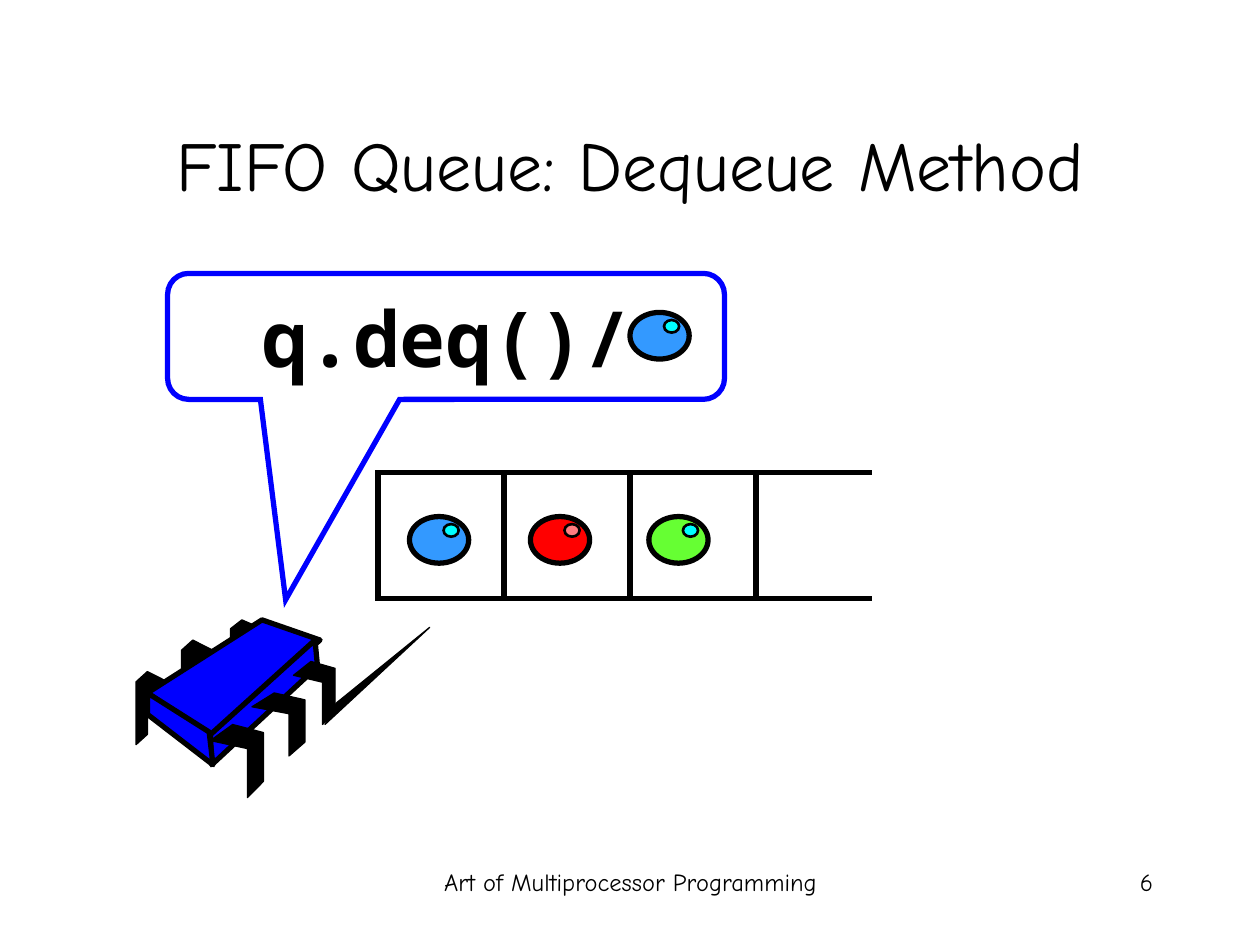
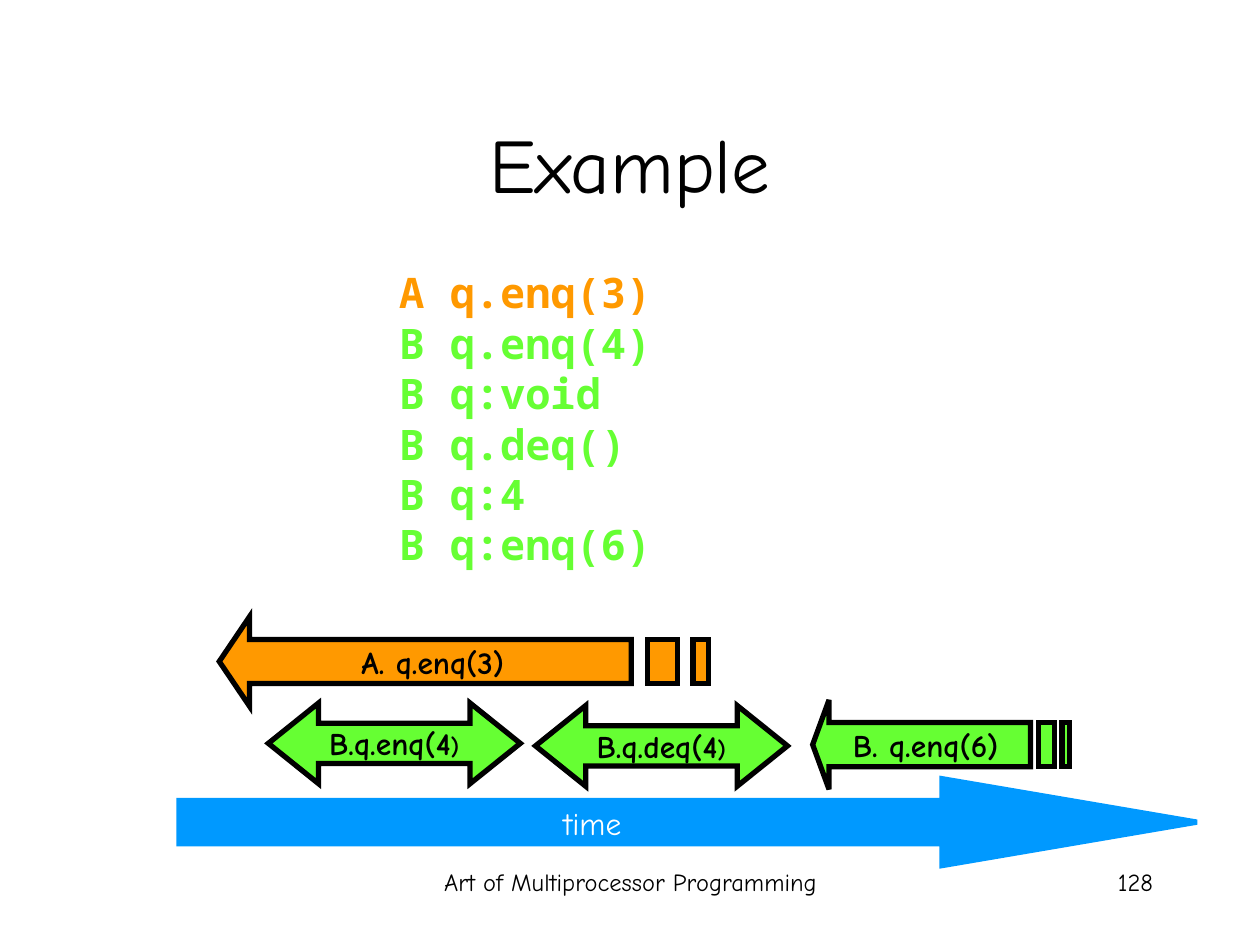
from lxml import etree
from pptx import Presentation
from pptx.dml.color import RGBColor
from pptx.enum import shapes, text
from pptx.oxml.ns import qn
from pptx.util import Inches, Pt

COLORS = {"black": "000000", "white": "FFFFFF", "blue": "0000FF", "sky": "3399FF",
          "time": "0099FF", "green": "66FF33", "red": "FF0000", "pink": "FF7C80",
          "cyan": "00FFFF", "orange": "FF9900"}
HAND, CODE = "Comic Neue", "Noto Sans Mono"
LEFT, CENTER, RIGHT = text.PP_ALIGN.LEFT, text.PP_ALIGN.CENTER, text.PP_ALIGN.RIGHT
SHAPE = shapes.MSO_SHAPE


def write(frame, words, size=18, font=HAND, color="black", bold=False, align=CENTER,
          wrap=True, anchor=text.MSO_ANCHOR.MIDDLE, new_line=False):
    """Add a formatted run to the last paragraph of a frame, or to a new one."""
    frame.auto_size = text.MSO_AUTO_SIZE.NONE
    frame.word_wrap = wrap
    frame.vertical_anchor = anchor
    paragraph = frame.add_paragraph() if new_line else frame.paragraphs[-1]
    paragraph.alignment = align
    run = paragraph.add_run()
    run.text = words
    run.font.size, run.font.name, run.font.bold = Pt(size), font, bold
    run.font.color.rgb = RGBColor.from_string(COLORS[color])


def style(shape, fill=None, line="black", width=3, join="miter"):
    """Set fill, outline and corner join, and remove the shadow."""
    if fill:
        shape.fill.solid()
        shape.fill.fore_color.rgb = RGBColor.from_string(COLORS[fill])
    elif hasattr(shape, "fill"):
        shape.fill.background()
    shape.line.color.rgb = RGBColor.from_string(COLORS[line])
    shape.line.width = Pt(width)
    properties = shape.element.spPr
    etree.SubElement(properties.find(qn("a:ln")), qn("a:" + join))
    etree.SubElement(properties, qn("a:effectLst"))


deck = Presentation()
deck.slide_width, deck.slide_height = Inches(10), Inches(7.5)

# Shared title, footer and page number
pages = []
for heading, size, number in [("FIFO Queue: Dequeue Method", 40, "6"),
                              ("Example", 44, "128")]:
    page = deck.slides.add_slide(deck.slide_layouts[5])
    title = page.shapes.title
    title.left, title.top = Inches(0.75), Inches(0.67)
    title.width, title.height = Inches(8.5), Inches(1.25)
    write(title.text_frame, heading, size=size)
    for words, left, width, align in [
            ("Art of Multiprocessor Programming", 3.42, 3.17, CENTER),
            (number, 7.17, 2.08, RIGHT)]:
        footer = page.shapes.add_textbox(Inches(left), Inches(6.83), Inches(width), Inches(0.5))
        write(footer.text_frame, words, size=14, align=align, anchor=text.MSO_ANCHOR.TOP)
    pages.append(page.shapes)
dequeue, example = pages

# Slide 1: the queue, open at its right end
for slot in range(3):
    cell = dequeue.add_shape(SHAPE.RECTANGLE, Inches(3 + slot), Inches(3.75), Inches(1), Inches(1))
    style(cell)
for y in (3.75, 4.75):
    rail = dequeue.add_connector(shapes.MSO_CONNECTOR.STRAIGHT,
                                 Inches(5.92), Inches(y), Inches(6.92), Inches(y))
    style(rail)

# The bug-like thread: legs are unit outlines, scaled and placed
back_leg = [(1, 0.14), (0.36, 0), (0, 0.14), (0, 1), (0.36, 0.86), (0.36, 0.29), (1, 0.43)]
front_leg = [(0.42, 0), (0, 0.22), (0.7, 0.33), (0.7, 1), (1, 0.78), (1, 0.11)]
back_places = [(1.08, 5.33, 0.25, 0.58), (1.44, 5.08, 0.25, 0.58), (1.83, 4.92, 0.25, 0.5)]
front_places = [(1.67, 5.75, 0.42, 0.58), (2, 5.5, 0.42, 0.5), (2.33, 5.25, 0.33, 0.5)]
back_legs, front_legs = [
    [[(x + w * px, y + h * py) for px, py in leg] for x, y, w, h in places]
    for leg, places in [(back_leg, back_places), (front_leg, front_places)]]
body = [
    [(2.08, 4.92), (1.17, 5.5), (1.68, 5.85), (2.54, 5.08)],
    [(2.5, 5.08), (1.67, 5.83), (1.68, 6.07), (2.52, 5.29)],
    [(1.17, 5.5), (1.17, 5.67), (1.69, 6.07), (1.66, 5.81)],
]
feeler = [(2.58, 5.75), (2.67, 5.58), (3.41, 4.98)]
for outlines, fill, width in [(back_legs, "black", 0.74), (body, "blue", 3),
                              (front_legs + [feeler], "black", 0.74)]:
    for outline in outlines:
        corners = [(Inches(x), Inches(y)) for x, y in outline]
        pen = dequeue.build_freeform(*corners[0])
        pen.add_line_segments(corners[1:], close=True)
        style(pen.convert_to_shape(), fill, width=width, join="round")

call = dequeue.add_shape(SHAPE.ROUNDED_RECTANGULAR_CALLOUT,
                         Inches(1.33), Inches(2.17), Inches(4.42), Inches(1))
for index, value in enumerate([-0.288, 2.09, 0.167]):
    call.adjustments[index] = value
style(call, line="blue")
write(call.text_frame, "q.deq()/", size=44, font=CODE, bold=True)

# Queue items, and the one that the call returns
for x, y, fill, shine in [(5.15, 4.1, "green", "cyan"), (4.21, 4.1, "red", "pink"),
                          (3.25, 4.1, "sky", "cyan"), (5, 2.48, "sky", "cyan")]:
    item = dequeue.add_group_shape().shapes
    ball = item.add_shape(SHAPE.OVAL, Inches(x), Inches(y), Inches(0.47), Inches(0.37))
    style(ball, fill)
    glint = item.add_shape(SHAPE.OVAL, Inches(x + 0.27), Inches(y + 0.06),
                           Inches(0.12), Inches(0.1))
    style(glint, shine, width=1.5)

# Slide 2: the history
history = example.add_textbox(Inches(3.07), Inches(2.07), Inches(3.05), Inches(2.5)).text_frame
for row, event in enumerate(["A q.enq(3)", "B q.enq(4)", "B q:void", "B q.deq()",
                             "B q:4", "B q:enq(6)"]):
    write(history, event, size=24, font=CODE, bold=True, align=LEFT, new_line=row > 0,
          color="orange" if event.startswith("A") else "green",
          anchor=text.MSO_ANCHOR.TOP)

# Time axis
axis = example.add_shape(SHAPE.RIGHT_ARROW, Inches(1.42), Inches(6.18), Inches(8.08), Inches(0.69))
axis.adjustments[0], axis.adjustments[1] = 0.5, 2.933
style(axis, "time", line="time")
axis_label = example.add_textbox(Inches(4.37), Inches(6.33), Inches(0.66), Inches(0.4))
write(axis_label.text_frame, "time", color="white", align=RIGHT, wrap=False,
      anchor=text.MSO_ANCHOR.TOP)

# Completed calls
for words, left, top in [("B.q.enq(4", 2.13, 5.58), ("B.q.deq(4", 4.25, 5.6)]:
    interval = example.add_shape(SHAPE.LEFT_RIGHT_ARROW, Inches(left), Inches(top),
                                 Inches(2), Inches(0.64))
    interval.adjustments[0], interval.adjustments[1] = 0.5, 0.623
    style(interval, "green")
    write(interval.text_frame, words, bold=True, wrap=False)
    write(interval.text_frame, ")", size=14, bold=True, wrap=False)

# Pending calls: an arrow whose shaft breaks up into two stripes
for words, fill, middle, tip, neck, end, stripes in [
        ("A. q.enq(3)", "orange", 5.25, 1.74, 1.98, 5.01, [(5.14, 5.38), (5.5, 5.62)]),
        ("B. q.enq(6)", "green", 5.91, 6.45, 6.58, 8.18, [(8.24, 8.37), (8.43, 8.49)])]:
    upper, lower = middle - 0.175, middle + 0.175
    contours = [[(neck, middle - 0.355), (neck, upper), (end, upper), (end, lower),
                 (neck, lower), (neck, middle + 0.355), (tip, middle)]]
    contours += [[(right, upper), (right, lower), (left, lower), (left, upper)]
                 for left, right in stripes]
    pen = example.build_freeform(Inches(contours[0][0][0]), Inches(contours[0][0][1]))
    for part, contour in enumerate(contours):
        corners = [(Inches(x), Inches(y)) for x, y in contour]
        if part:
            pen.move_to(*corners[0])
        pen.add_line_segments(corners[1:], close=True)
    pending = pen.convert_to_shape()
    style(pending, fill)
    pending.text_frame.margin_left = Inches(0.1 + (neck - tip) / 2)
    pending.text_frame.margin_right = Inches(0.1 + stripes[-1][1] - end)
    write(pending.text_frame, words, bold=True, wrap=False)

deck.save("out.pptx")
